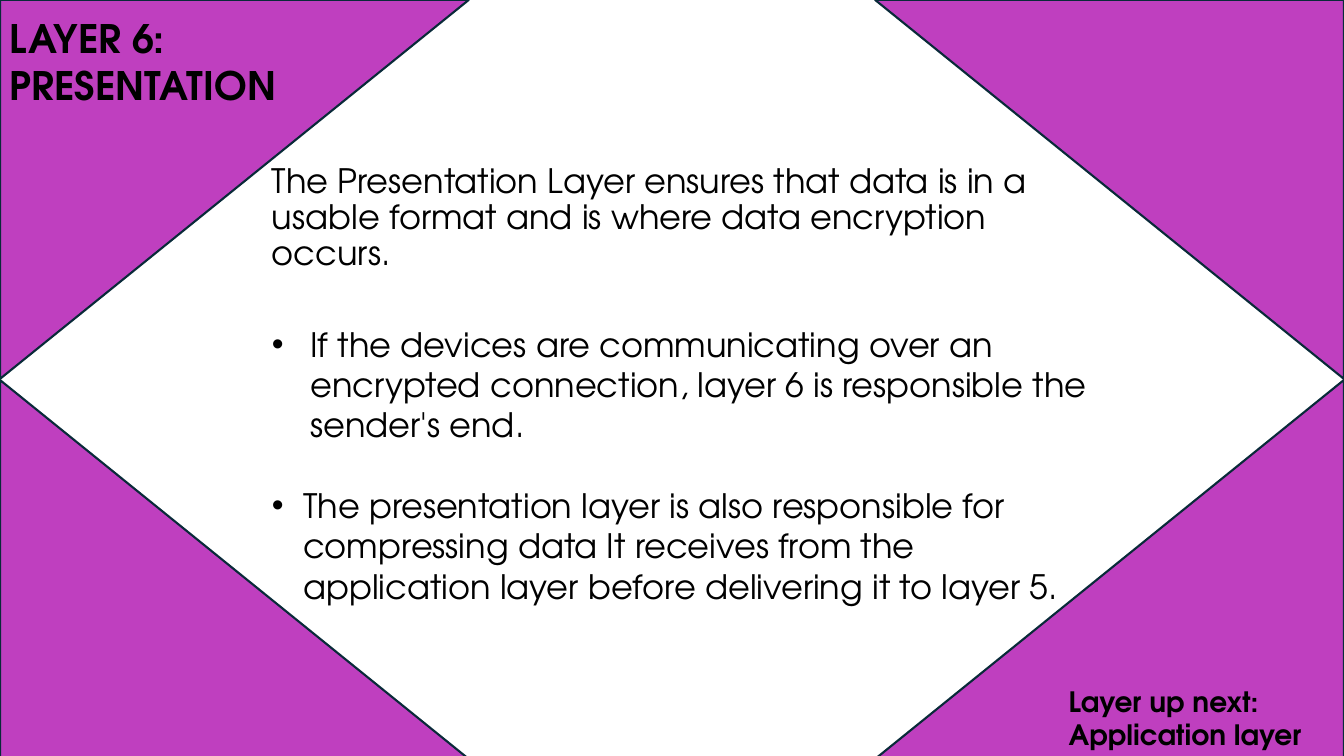
from itertools import product

from lxml import etree
from pptx import Presentation
from pptx.dml.color import RGBColor
from pptx.enum.shapes import MSO_SHAPE
from pptx.oxml.ns import qn
from pptx.util import Inches, Pt

PURPLE = RGBColor(0xBF, 0x3F, 0xBF)
NAVY = RGBColor(0x09, 0x2A, 0x39)
BLACK = RGBColor(0, 0, 0)
FONT = "TeX Gyre Adventor"

prs = Presentation()
prs.slide_width, prs.slide_height = Inches(13.33), Inches(7.5)
slide = prs.slides.add_slide(prs.slide_layouts[6])


def percent_box(x, y, w, h):
    W, H = prs.slide_width, prs.slide_height
    return [int(share * side / 100) for share, side in zip((x, y, w, h), (W, H, W, H))]


def add_run(p, text, size, bold=False):
    r = p.add_run()
    r.text = text
    r.font.name = FONT
    r.font.size = Pt(size)
    r.font.bold = bold
    r.font.color.rgb = BLACK


corner_w, corner_h = 34.88, 50.13
for right, bottom in product((False, True), repeat=2):
    x = 100 - corner_w if right else 0
    y = 50.27 if bottom else 0
    sp = slide.shapes.add_shape(MSO_SHAPE.RIGHT_TRIANGLE, *percent_box(x, y, corner_w, corner_h))
    sp.shadow.inherit = False
    sp.fill.solid()
    sp.fill.fore_color.rgb = PURPLE
    sp.line.color.rgb = NAVY
    sp.line.width = Pt(1.5)
    xfrm = sp._element.spPr.find(qn("a:xfrm"))
    if right:
        xfrm.set("flipH", "1")
    if not bottom:
        xfrm.set("flipV", "1")

labels = [
    ("Layer up next: Application layer", 20, (78.77, 89.87, 22.5, 10.27)),
    ("LAYER 6: PRESENTATION", 28, (0, 1.2, 31.36, 20.13)),
]
for text, size, box in labels:
    tf = slide.shapes.add_textbox(*percent_box(*box)).text_frame
    tf.word_wrap = True
    add_run(tf.paragraphs[0], text, size, bold=True)

tf = slide.shapes.add_textbox(*percent_box(19.5, 21.07, 63, 19.33)).text_frame
tf.word_wrap = True
p = tf.paragraphs[0]
p.line_spacing = 0.9
add_run(p, "The Presentation Layer ensures that data is in a usable format "
           "and is where data encryption occurs.", 24)

bullets = [
    ("If the devices are communicating over an encrypted connection, "
     "layer 6 is responsible the sender's end.", 0.38, 36),
    ("The presentation layer is also responsible for compressing data It receives "
     "from the application layer before delivering it to layer 5.", 0.31, 29),
]
for text, indent, gap in bullets:
    p = tf.add_paragraph()
    p.space_before = Pt(gap)
    pPr = p._p.get_or_add_pPr()
    pPr.set("marL", str(Inches(indent)))
    pPr.set("indent", str(-Inches(indent)))
    etree.SubElement(pPr, qn("a:buFont"), typeface="Arial")
    etree.SubElement(pPr, qn("a:buChar"), char="•")
    add_run(p, text, 24)

prs.save("out.pptx")
